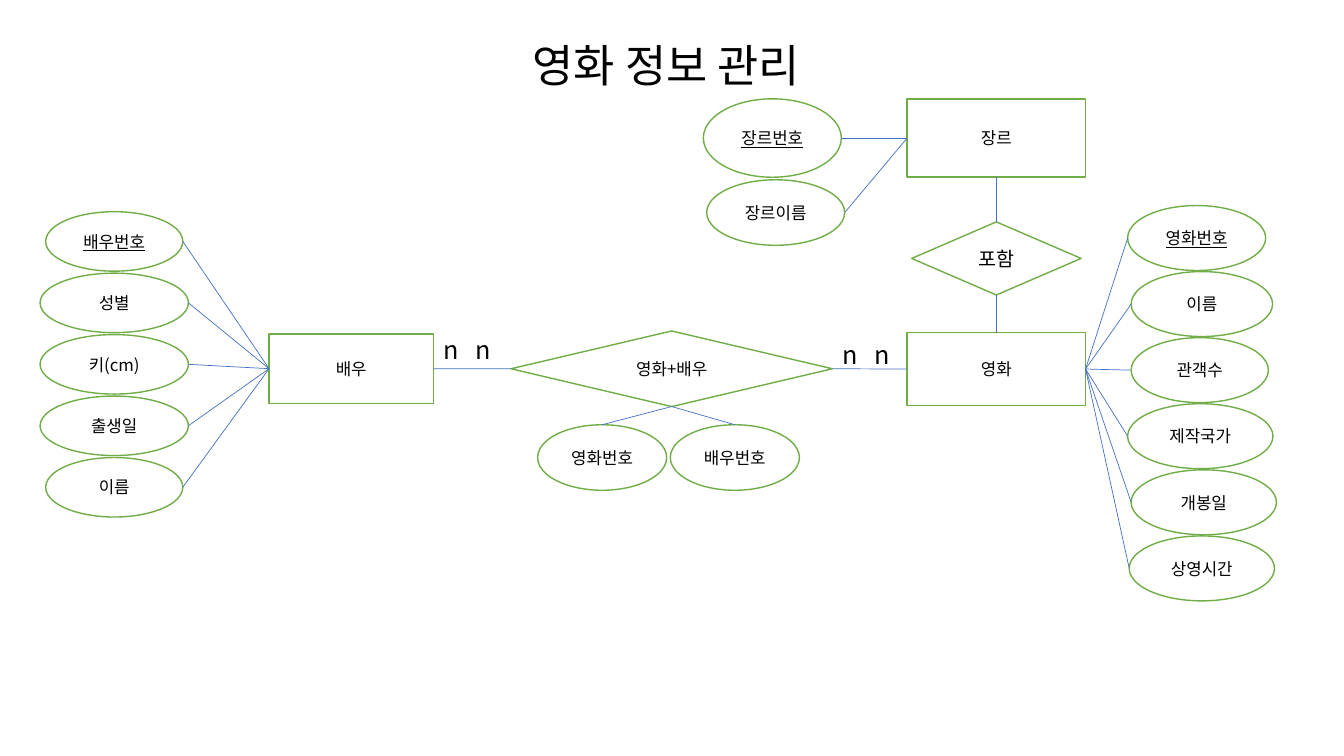
from dataclasses import dataclass

from lxml.etree import SubElement
from pptx import Presentation
from pptx.dml.color import RGBColor
from pptx.enum.shapes import MSO_CONNECTOR as Connector
from pptx.enum.shapes import MSO_SHAPE as Shape
from pptx.enum.text import MSO_ANCHOR as Anchor
from pptx.enum.text import PP_ALIGN as Align
from pptx.oxml.ns import qn
from pptx.slide import Slide
from pptx.text.text import TextFrame
from pptx.util import Pt

FONT = "Noto Sans CJK KR"
COLOURS = {"text": "000000", "fill": "FFFFFF", "outline": "70AD47", "link": "4472C4"}


@dataclass(frozen=True)
class Node:
    text: str
    kind: Shape
    left: float
    top: float
    width: float
    height: float
    size: float = 12
    underline: bool = False

    def side(self, name: str) -> tuple[float, float]:
        """Return the midpoint of the named side."""
        across, down = {"top": (0.5, 0), "left": (0, 0.5),
                        "bottom": (0.5, 1), "right": (1, 0.5)}[name]
        return self.left + across * self.width, self.top + down * self.height


@dataclass(frozen=True)
class Link:
    start: Node
    start_side: str
    end: Node
    end_side: str


@dataclass(frozen=True)
class Cardinality:
    text: str
    left: float
    top: float


def colour(name: str) -> RGBColor:
    return RGBColor.from_string(COLOURS[name])


def write_text(frame: TextFrame, text: str, size: float, align: Align = Align.CENTER,
               underline: bool = False, spacing: float = 0) -> None:
    """Write one formatted paragraph; spacing is added after each letter."""
    frame.word_wrap = True
    paragraph = frame.paragraphs[0]
    paragraph.alignment = align
    run = paragraph.add_run()
    run.text = text
    formats = {"name": FONT, "size": Pt(size), "underline": underline}
    for attribute, value in formats.items():
        setattr(run.font, attribute, value)
    run.font.color.rgb = colour("text")
    properties = run._r.get_or_add_rPr()
    SubElement(properties, qn("a:ea")).set("typeface", FONT)
    if spacing:
        properties.set("spc", str(round(spacing * 100)))


def draw_node(slide: Slide, node: Node) -> None:
    box = (Pt(length) for length in (node.left, node.top, node.width, node.height))
    shape = slide.shapes.add_shape(node.kind, *box)
    shape.shadow.inherit = False
    shape.fill.solid()
    shape.fill.fore_color.rgb = colour("fill")
    shape.line.color.rgb = colour("outline")
    shape.line.width = Pt(1)
    shape.text_frame.vertical_anchor = Anchor.MIDDLE
    write_text(shape.text_frame, node.text, node.size, underline=node.underline)


def draw_link(slide: Slide, link: Link) -> None:
    points = link.start.side(link.start_side) + link.end.side(link.end_side)
    connector = slide.shapes.add_connector(Connector.STRAIGHT, *map(Pt, points))
    connector.line.color.rgb = colour("link")
    connector.line.width = Pt(0.5)
    SubElement(connector._element.spPr, qn("a:effectLst"))


def draw_cardinality(slide: Slide, label: Cardinality) -> None:
    box = slide.shapes.add_textbox(Pt(label.left), Pt(label.top), Pt(74), Pt(29))
    write_text(box.text_frame, label.text, 18, Align.LEFT, spacing=4)


def draw_title(slide: Slide, text: str) -> None:
    title = slide.shapes.title
    place = {"left": 62, "top": 6.5, "width": 828, "height": 83.5}
    for attribute, value in place.items():
        setattr(title, attribute, Pt(value))
    title.text_frame.vertical_anchor = Anchor.MIDDLE
    title.text_frame.paragraphs[0].line_spacing = 0.9
    write_text(title.text_frame, text, 32)


def attribute_column(rows: list[tuple[str, float, float]], top: float,
                     pitch: float, height: float) -> list[Node]:
    """Stack ellipses given as (text, left, width); the first is the key."""
    return [Node(text, Shape.OVAL, left, top + index * pitch, width, height,
                 underline=index == 0)
            for index, (text, left, width) in enumerate(rows)]


actor = Node("배우", Shape.RECTANGLE, 192.2, 238.5, 117.4, 49.7)
film = Node("영화", Shape.RECTANGLE, 648, 237.6, 127.4, 52)
genre = Node("장르", Shape.RECTANGLE, 648, 70.6, 127.4, 56)
casting = Node("영화+배우", Shape.FLOWCHART_DECISION, 365, 236.4, 229.6, 54)
inclusion = Node("포함", Shape.FLOWCHART_DECISION, 651.2, 158.5, 121, 52.2, size=14)

actor_attributes = attribute_column(
    [("배우번호", 32.6, 98), ("성별", 28.6, 106), ("키(cm)", 28.6, 106),
     ("출생일", 28.6, 106), ("이름", 32.6, 98)],
    top=151.2, pitch=43.9, height=42.5)
film_attributes = attribute_column(
    [("영화번호", 805.5, 98.6), ("이름", 808, 101), ("관객수", 808, 98),
     ("제작국가", 805.5, 103.8), ("개봉일", 808, 103.8), ("상영시간", 806.6, 103.8)],
    top=146.8, pitch=47.2, height=46.4)
genre_attributes = [
    Node("장르번호", Shape.OVAL, 502.4, 70.6, 98.6, 56, underline=True),
    Node("장르이름", Shape.OVAL, 504.8, 128.4, 98.6, 46.8),
]
casting_attributes = [
    Node(text, Shape.OVAL, 384 + index * 94.8, 303.4, 92.2, 46.8)
    for index, text in enumerate(("영화번호", "배우번호"))
]

NODES = [actor, film, genre, casting, inclusion, *actor_attributes,
         *film_attributes, *genre_attributes, *casting_attributes]
LINKS = [
    *(Link(casting, "bottom", node, "top") for node in casting_attributes),
    *(Link(node, "right", actor, "left") for node in actor_attributes),
    *(Link(node, "left", film, "right") for node in film_attributes),
    *(Link(node, "right", genre, "left") for node in genre_attributes),
    Link(actor, "right", casting, "left"),
    Link(casting, "right", film, "left"),
    Link(genre, "bottom", inclusion, "top"),
    Link(inclusion, "bottom", film, "top"),
]
CARDINALITIES = [Cardinality("n n", 309.6, 235.6), Cardinality("n n", 594.6, 239)]


def main() -> None:
    presentation = Presentation()
    presentation.slide_width = Pt(960)
    presentation.slide_height = Pt(540)
    slide = presentation.slides.add_slide(presentation.slide_layouts[5])
    draw_title(slide, "영화 정보 관리")
    for node in NODES:
        draw_node(slide, node)
    for link in LINKS:
        draw_link(slide, link)
    for label in CARDINALITIES:
        draw_cardinality(slide, label)
    presentation.save("out.pptx")


if __name__ == "__main__":
    main()
